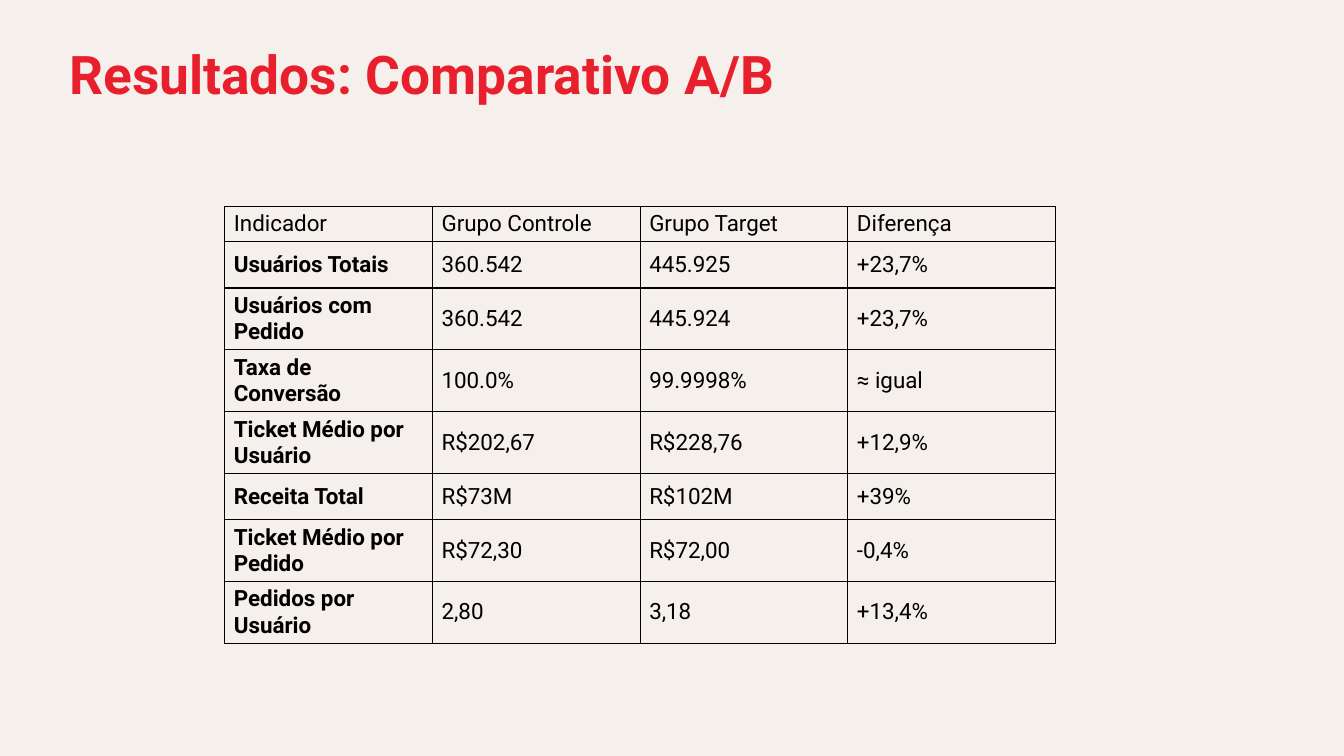
import pptx
import pptx.dml.color
import pptx.enum.text
import pptx.oxml
import pptx.oxml.ns
import pptx.util
from pptx.util import Inches

TITLE = "Resultados: Comparativo A/B"
HEADER = ("Indicador", "Grupo Controle", "Grupo Target", "Diferença")
RESULTS = [
    ("Usuários Totais", "360.542", "445.925", "+23,7%"),
    ("Usuários com Pedido", "360.542", "445.924", "+23,7%"),
    ("Taxa de Conversão", "100.0%", "99.9998%", "≈ igual"),
    ("Ticket Médio por Usuário", "R$202,67", "R$228,76", "+12,9%"),
    ("Receita Total", "R$73M", "R$102M", "+39%"),
    ("Ticket Médio por Pedido", "R$72,30", "R$72,00", "-0,4%"),
    ("Pedidos por Usuário", "2,80", "3,18", "+13,4%"),
]

FONT = "Roboto"
BACKGROUND = pptx.dml.color.RGBColor(0xF5, 0xF0, 0xEB)
RED = pptx.dml.color.RGBColor(0xE8, 0x1F, 0x2D)
BLACK = pptx.dml.color.RGBColor(0, 0, 0)
BORDER_POINTS = 1
COLUMN_WIDTH = Inches(2.06)
HEADER_HEIGHT = Inches(0.26)
ROW_HEIGHT = Inches(0.46)


def add_run(paragraph, text, size, color, bold):
    run = paragraph.add_run()
    run.text = text
    run.font.name = FONT
    run.font.size = pptx.util.Pt(size)
    run.font.color.rgb = color
    run.font.bold = bold


def add_borders(cell):
    properties = cell._tc.get_or_add_tcPr()
    for side in ("lnL", "lnR", "lnT", "lnB"):
        properties.append(pptx.oxml.parse_xml(
            f'<a:{side} {pptx.oxml.ns.nsdecls("a")} w="{pptx.util.Pt(BORDER_POINTS)}">'
            f'<a:solidFill><a:srgbClr val="{BLACK}"/></a:solidFill></a:{side}>'))


def add_title(slide):
    box = slide.shapes.add_textbox(Inches(0.59), Inches(0.36), Inches(8.94), Inches(0.74))
    frame = box.text_frame
    frame.word_wrap = True
    frame.auto_size = pptx.enum.text.MSO_AUTO_SIZE.SHAPE_TO_FIT_TEXT
    add_run(frame.paragraphs[0], TITLE, 38, RED, True)


def add_results_table(slide):
    rows = [HEADER] + RESULTS
    table = slide.shapes.add_table(
        len(rows), len(HEADER), Inches(2.23), Inches(2.05),
        COLUMN_WIDTH * len(HEADER), HEADER_HEIGHT + ROW_HEIGHT * len(RESULTS)).table
    table.first_row = False
    table.horz_banding = False
    for column in table.columns:
        column.width = COLUMN_WIDTH
    for row_index, values in enumerate(rows):
        table.rows[row_index].height = ROW_HEIGHT if row_index else HEADER_HEIGHT
        for column_index, value in enumerate(values):
            cell = table.cell(row_index, column_index)
            cell.margin_left = cell.margin_right = Inches(0.09)
            cell.margin_top = cell.margin_bottom = Inches(0.04)
            cell.vertical_anchor = pptx.enum.text.MSO_ANCHOR.MIDDLE
            add_borders(cell)
            cell.fill.background()
            is_label = row_index > 0 and column_index == 0
            add_run(cell.text_frame.paragraphs[0], value, 16, BLACK, is_label)


def main():
    presentation = pptx.Presentation()
    presentation.slide_width = Inches(13.33)
    presentation.slide_height = Inches(7.5)
    slide = presentation.slides.add_slide(presentation.slide_layouts[6])
    slide.background.fill.solid()
    slide.background.fill.fore_color.rgb = BACKGROUND
    add_title(slide)
    add_results_table(slide)
    presentation.save("out.pptx")


if __name__ == "__main__":
    main()
